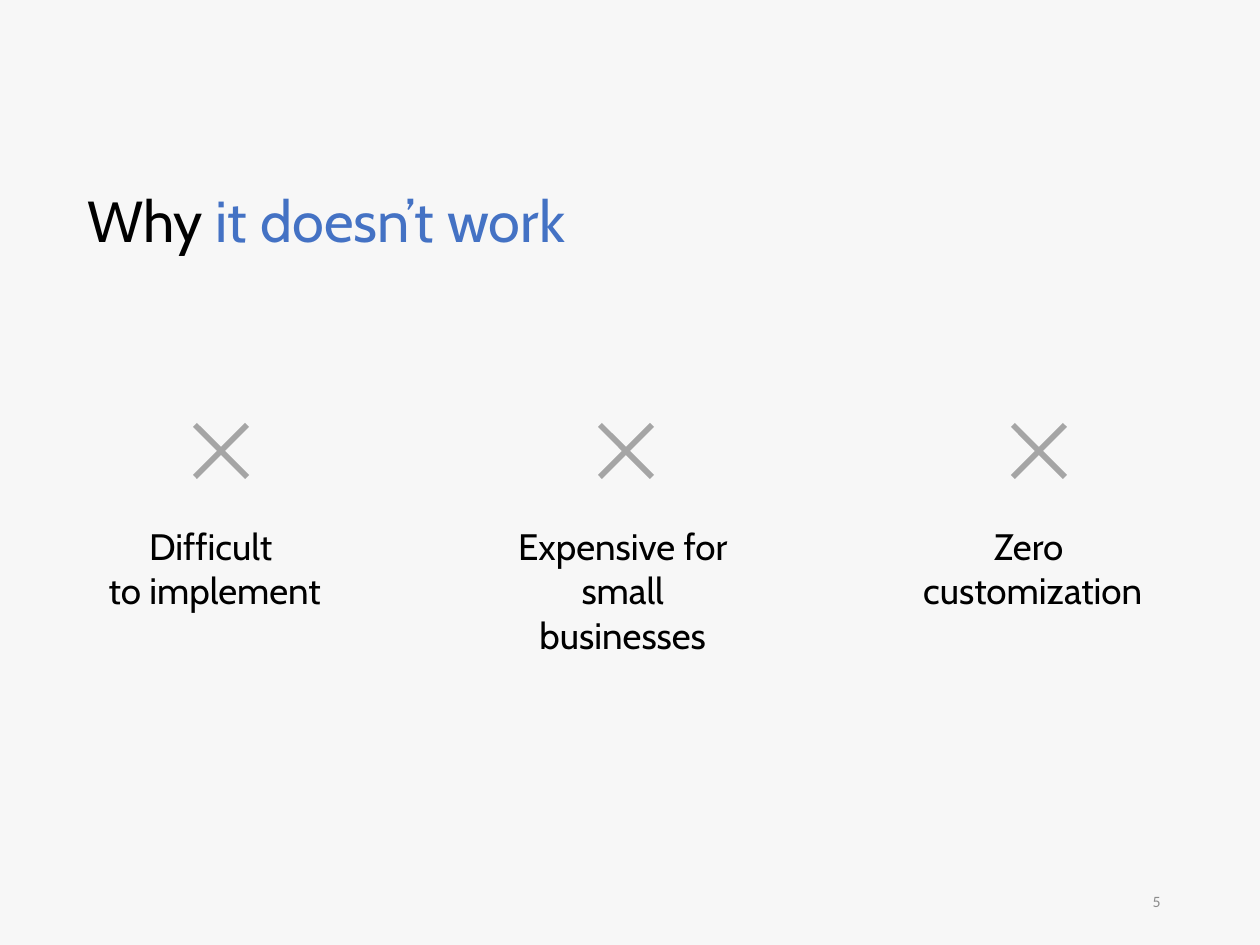
from pptx import Presentation
from pptx.dml.color import RGBColor
from pptx.enum.text import MSO_ANCHOR, PP_ALIGN
from pptx.util import Pt

PX = 914400 // 126  # EMU per px, 126 px to the inch

# Content
BACKGROUND, BLACK, BLUE, CROSS_GRAY, NUMBER_GRAY = "F7F7F7", "000000", "4472C4", "A5A5A5", "8C8C8C"
TITLE = [("Why ", BLACK), ("it doesn’t work", BLUE)]
REASONS = [  # text, text left, cross left
    ("Difficult \vto implement", 87, 193),
    ("Expensive for small businesses", 495, 598),
    ("Zero \vcustomization", 905, 1011),
]
PAGE_NUMBER = [("5", NUMBER_GRAY)]

# Layout and formats
REASON_TOP, REASON_WIDTH, REASON_HEIGHT = 518, 268, 102
CROSS_TOP, CROSS_SIZE, CROSS_ARM = 423, 56, 4
FLUSH_LEFT = {"margin_left": 0}
TITLE_PARAGRAPH = {"alignment": PP_ALIGN.LEFT, "line_spacing": 0.9}
REASON_PARAGRAPH = {"alignment": PP_ALIGN.CENTER}
NUMBER_PARAGRAPH = {"alignment": PP_ALIGN.RIGHT}


def color(hex_value):
    return RGBColor.from_string(hex_value)


def apply(target, formats):
    for name, value in formats.items():
        setattr(target, name, value)


def add_text(slide, box, runs, font, size, frame_format, paragraph_format):
    frame = slide.shapes.add_textbox(*(v * PX for v in box)).text_frame
    apply(frame, {"word_wrap": True, **frame_format})
    paragraph = frame.paragraphs[0]
    apply(paragraph, paragraph_format)
    for text, ink in runs:
        # A vertical tab marks a line break inside the paragraph
        for index, line in enumerate(text.split("\v")):
            if index:
                paragraph.add_line_break()
            run = paragraph.add_run()
            run.text = line
            apply(run.font, {"name": font, "size": Pt(size)})
            run.font.color.rgb = color(ink)


def add_cross(slide, left, top):
    end, arm, mid = CROSS_SIZE, CROSS_ARM, CROSS_SIZE // 2
    outline = []
    x, y = mid, -mid + arm
    for _ in range(4):  # one quarter, then turned by 90 degrees
        for px, py in [(-y - arm, -mid), (0, -arm), (y + arm, -mid)]:
            pass
        break
    quarter = [(mid, arm - mid), (mid - arm, -mid), (0, -arm)]
    for _ in range(4):
        outline += [(left + mid + x, top + mid + y) for x, y in quarter]
        quarter = [(y, -x) for x, y in quarter]
    builder = slide.shapes.build_freeform(*outline[0], scale=PX)
    builder.add_line_segments(outline[1:], close=True)
    cross = builder.convert_to_shape()
    cross.shadow.inherit = False
    cross.fill.solid()
    cross.fill.fore_color.rgb = color(CROSS_GRAY)
    cross.line.fill.background()


def main():
    deck = Presentation()
    apply(deck, {"slide_width": 1260 * PX, "slide_height": 945 * PX})
    slide = deck.slides.add_slide(deck.slide_layouts[6])
    slide.background.fill.solid()
    slide.background.fill.fore_color.rgb = color(BACKGROUND)

    # Title
    add_text(slide, (87, 186, 538, 76), TITLE, "Cabin", 33, FLUSH_LEFT, TITLE_PARAGRAPH)

    # Reasons, each under a cross
    for reason, text_left, cross_left in REASONS:
        box = (text_left, REASON_TOP, REASON_WIDTH, REASON_HEIGHT)
        add_text(slide, box, [(reason, BLACK)], "Cabin", 21, FLUSH_LEFT, REASON_PARAGRAPH)
        add_cross(slide, cross_left, CROSS_TOP)

    # Page number
    add_text(slide, (890, 876, 283, 50), PAGE_NUMBER, "Calibri", 9,
             {"vertical_anchor": MSO_ANCHOR.MIDDLE}, NUMBER_PARAGRAPH)

    deck.save("out.pptx")


if __name__ == "__main__":
    main()
